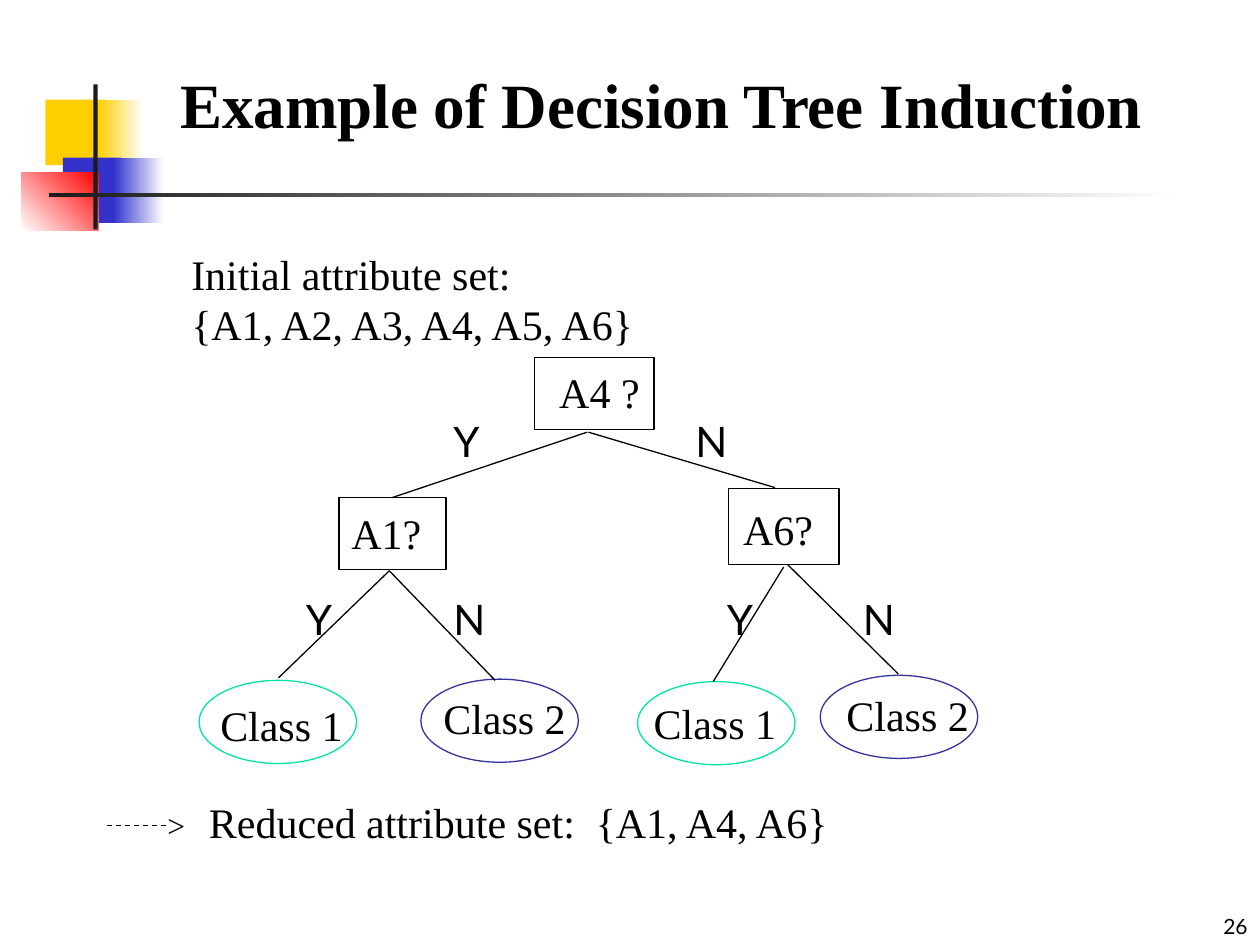
from lxml.etree import SubElement
from pptx import Presentation
from pptx.dml.color import RGBColor
from pptx.enum.dml import MSO_LINE
from pptx.enum.shapes import MSO_CONNECTOR, MSO_SHAPE
from pptx.enum.text import MSO_ANCHOR, PP_ALIGN
from pptx.oxml.ns import qn
from pptx.util import Inches, Pt

WIDE, HIGH = Inches(10), Inches(7.5)
COLS, ROWS = 100, 75
SERIF, SANS = "Times New Roman", "Lato"
BLACK, WHITE, DARK = "000000", "FFFFFF", "1C1C1C"
GOLD, BLUE, RED = "FFCF01", "3333CC", "FF0000"
GREEN, NAVY = "00E4A8", "333399"

# left, top, width, height, colours from start to end, angle
DECOR = [
    (3.6, 7.9, 4.8, 5.2, [GOLD], 0),
    (7.8, 7.9, 3.6, 5.2, [GOLD, WHITE], 0),
    (5, 12.5, 4.6, 5.2, [BLUE], 0),
    (9, 12.5, 4, 5.2, [BLUE, WHITE], 0),
    (1.7, 13.7, 6.1, 4.6, [WHITE, RED], 45),
    (7.4, 6.7, 0.35, 11.5, [DARK], 0),
    (3.9, 15.3, 90, 0.35, [DARK, WHITE], 0),
]
# label, label box, test box
TESTS = [
    ("A4 ?", (43.4, 28.6, 9.7, 5), (42.4, 28.4, 9.5, 5.7)),
    ("A1?", (26.9, 39.8, 8, 5), (26.9, 39.5, 8.5, 5.7)),
    ("A6?", (58, 39.5, 8, 5), (57.8, 38.8, 8.8, 6)),
]
# label, label corner, oval corner, colour
LEAVES = [
    ("Class 1", (16.5, 55), (15.8, 54), GREEN),
    ("Class 2", (34.2, 54.5), (33.4, 53.9), NAVY),
    ("Class 1", (50.9, 54.9), (50.6, 54.1), GREEN),
    ("Class 2", (66.2, 54.2), (65.1, 53.6), NAVY),
]
# start, end, answer, answer corner
BRANCHES = [
    (46.6, 34.3, 31.1, 39.5, "Y", (35, 32.5)),
    (46.7, 34.3, 61.5, 38.7, "N", (54.2, 32.5)),
    (30.9, 45.3, 22.1, 53.8, "Y", (23.3, 46.6)),
    (30.9, 45.3, 39.3, 54, "N", (35, 46.6)),
    (62.2, 45, 56.6, 54.1, "Y", (56.7, 46.6)),
    (62.5, 44.8, 71.3, 53.5, "N", (67.5, 46.6)),
]


def grid(box):
    """Turn column, row pairs into slide lengths."""
    return [round(n * (HIGH / ROWS if i % 2 else WIDE / COLS))
            for i, n in enumerate(box)]


def paint(color, code):
    color.rgb = RGBColor.from_string(code)


def assign(item, values):
    for name, value in values.items():
        setattr(item, name, value)


def write(frame, lines, size=24, face=SERIF, bold=False, wrap=True,
          align=PP_ALIGN.LEFT, anchor=MSO_ANCHOR.TOP, tab=None):
    assign(frame, {"word_wrap": wrap, "vertical_anchor": anchor,
                   "text": "\n".join(lines)})
    for para in frame.paragraphs:
        para.alignment = align
        if tab:
            stops = SubElement(para._p.get_or_add_pPr(), qn("a:tabLst"))
            SubElement(stops, qn("a:tab"), pos=str(grid([tab])[0]), algn="l")
        for run in para.runs:
            assign(run.font, {"size": Pt(size), "name": face, "bold": bold})
            paint(run.font.color, BLACK)


def label(shapes, box, *lines, **style):
    write(shapes.add_textbox(*grid(box)).text_frame, lines, **style)


def block(shapes, box, codes, angle):
    """Add a borderless bar, plain or fading between two colours."""
    bar = shapes.add_shape(MSO_SHAPE.RECTANGLE, *grid(box))
    bar.shadow.inherit = False
    bar.line.fill.background()
    if len(codes) == 1:
        bar.fill.solid()
        paint(bar.fill.fore_color, codes[0])
    else:
        bar.fill.gradient()
        bar.fill.gradient_angle = angle
        for stop, code in zip(bar.fill.gradient_stops, codes):
            paint(stop.color, code)


def frame(shapes, kind, box, code):
    """Add an unfilled outline."""
    edge = shapes.add_shape(kind, *grid(box))
    edge.shadow.inherit = False
    edge.fill.background()
    edge.line.width = Pt(0.75)
    paint(edge.line.color, code)


def link(shapes, ends, dash=None):
    line = shapes.add_connector(MSO_CONNECTOR.STRAIGHT, *grid(ends))
    paint(line.line.color, BLACK)
    assign(line.line, {"width": Pt(0.75), "dash_style": dash})
    SubElement(line._element.spPr, qn("a:effectLst"))


def head(title):
    names = ("left", "top", "width", "height")
    assign(title, dict(zip(names, grid((13.3, 4.7, 84.2, 7)))))
    write(title.text_frame, ["Example of Decision Tree Induction"],
          size=36, bold=True)


def tree(shapes):
    for text, spot, box in TESTS:
        frame(shapes, MSO_SHAPE.RECTANGLE, box, BLACK)
        label(shapes, spot, text)
    for text, spot, oval, code in LEAVES:
        frame(shapes, MSO_SHAPE.OVAL, (*oval, 12.5, 6.6), code)
        label(shapes, (*spot, 12, 5), text)
    for *ends, text, spot in BRANCHES:
        link(shapes, ends)
        label(shapes, (*spot, 4.2, 5), text, face=SANS)


def result(shapes):
    arrow = shapes.add_group_shape().shapes
    link(arrow, (8.5, 65.5, 13.3, 65.5), MSO_LINE.DASH)
    label(arrow, (12.3, 63.5, 3.4, 4), ">", size=18, wrap=False)
    label(shapes, (15.6, 62.7, 51.5, 5),
          "Reduced attribute set:\t{A1, A4, A6}", tab=30.7)


def main():
    deck = Presentation()
    assign(deck, {"slide_width": WIDE, "slide_height": HIGH})
    shapes = deck.slides.add_slide(deck.slide_layouts[5]).shapes
    for *box, codes, angle in DECOR:
        block(shapes, box, codes, angle)
    head(shapes.title)
    label(shapes, (14.2, 19.2, 38, 9), "Initial attribute set:",
          "{A1, A2, A3, A4, A5, A6}", wrap=False)
    tree(shapes)
    result(shapes)
    label(shapes, (79.2, 70.8, 20.8, 4.2), "26", size=12, face=SANS,
          align=PP_ALIGN.RIGHT, anchor=MSO_ANCHOR.BOTTOM)
    deck.save("out.pptx")


if __name__ == "__main__":
    main()
